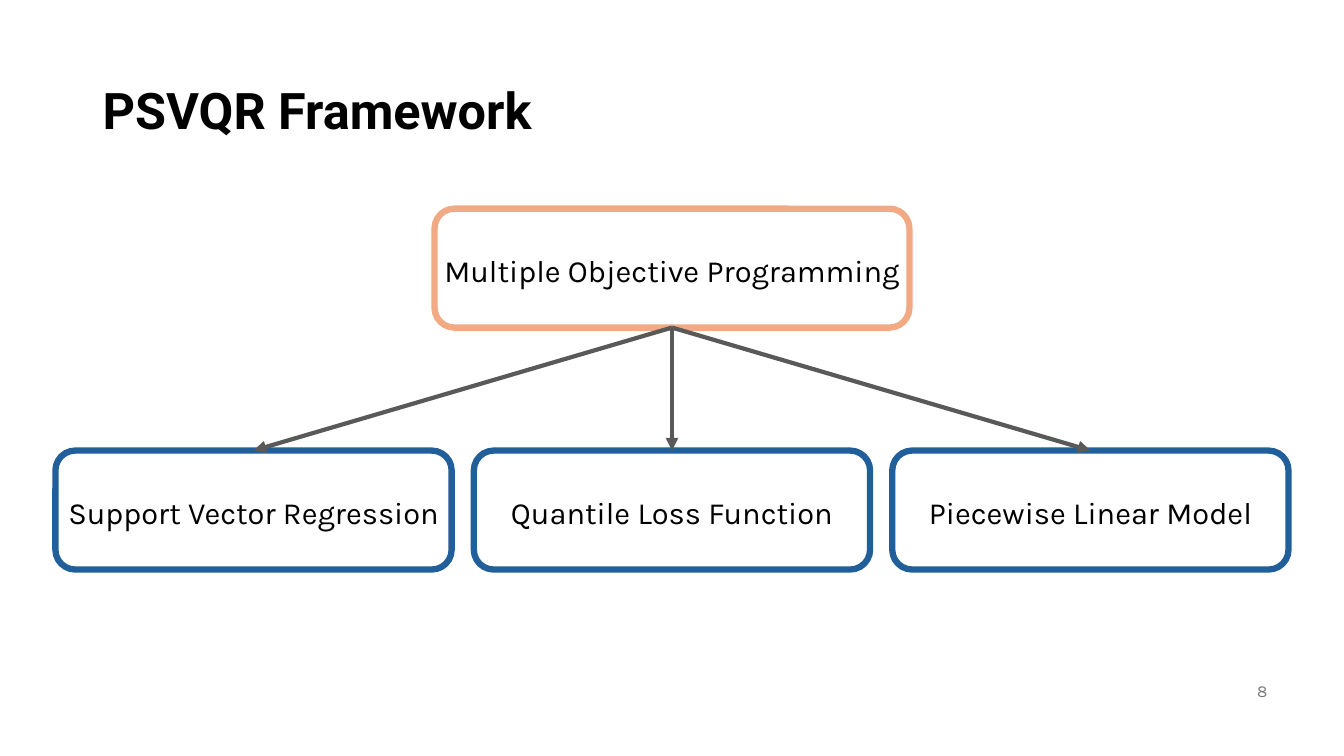
from lxml import etree
from pptx import Presentation
from pptx.dml.color import RGBColor
from pptx.enum.shapes import MSO_CONNECTOR, MSO_SHAPE
from pptx.enum.text import MSO_ANCHOR, PP_ALIGN
from pptx.oxml.ns import qn
from pptx.util import Inches, Pt

ROUNDED = MSO_SHAPE.ROUNDED_RECTANGLE
STRAIGHT = MSO_CONNECTOR.STRAIGHT
MIDDLE = MSO_ANCHOR.MIDDLE
LEFT, CENTER, RIGHT = PP_ALIGN.LEFT, PP_ALIGN.CENTER, PP_ALIGN.RIGHT
TOP_SITE, BOTTOM_SITE = 0, 2

# Content
TITLE = "PSVQR Framework"
PAGE_NUMBER = "8"
GOAL = "Multiple Objective Programming"
COMPONENTS = ["Support Vector Regression", "Quantile Loss Function", "Piecewise Linear Model"]

COLORS = {"text": "000000", "number": "797979", "goal": "F2AA84",
          "component": "215F9A", "arrow": "595959"}
TITLE_FONT = {"name": "Roboto", "size": Pt(36), "bold": True}
LABEL_FONT = {"name": "Karla", "size": Pt(22)}
NUMBER_FONT = {"name": "Karla", "size": Pt(12)}

# Layout in inches
SLIDE_W, SLIDE_H = 13.33, 7.5
NODE_H = 1.18
GOAL_W, GOAL_TOP = 4.71, 2.07
COMPONENT_W, COMPONENT_TOP, COMPONENT_STEP = 3.93, 4.47, 4.15


def color(name):
    return RGBColor.from_string(COLORS[name])


def write(shape, text, font, ink, align, wrap=True):
    frame = shape.text_frame
    frame.word_wrap = wrap
    frame.vertical_anchor = MIDDLE
    para = frame.paragraphs[0]
    para.alignment = align
    span = para.add_run()
    span.text = text
    for name, value in font.items():
        setattr(span.font, name, value)
    span.font.color.rgb = color(ink)
    return para


def add_text(page, area, *text_format):
    box = page.shapes.add_textbox(*map(Inches, area))
    return write(box, *text_format)


def add_node(page, center, top, width, text, outline):
    node = page.shapes.add_shape(
        ROUNDED, *map(Inches, (center - width / 2, top, width, NODE_H)))
    node.shadow.inherit = False
    node.fill.background()
    node.line.color.rgb = color(outline)
    node.line.width = Pt(4.5)
    write(node, text, LABEL_FONT, "text", CENTER, wrap=False)
    node.text_frame.margin_top = Inches(0.09)
    return node


def add_arrow(page, source, target):
    arrow = page.shapes.add_connector(STRAIGHT, 0, 0, 0, 0)
    arrow.begin_connect(source, BOTTOM_SITE)
    arrow.end_connect(target, TOP_SITE)
    arrow.line.color.rgb = color("arrow")
    arrow.line.width = Pt(3)
    etree.SubElement(arrow.line._get_or_add_ln(), qn("a:tailEnd"), type="triangle")
    etree.SubElement(arrow._element.spPr, qn("a:effectLst"))


def main():
    deck = Presentation()
    deck.slide_width, deck.slide_height = Inches(SLIDE_W), Inches(SLIDE_H)
    page = deck.slides.add_slide(deck.slide_layouts[6])

    # Title and page number
    title = add_text(page, (0.92, 0.4, 11.5, 1.45), TITLE, TITLE_FONT, "text", LEFT)
    title.line_spacing = 0.9
    add_text(page, (9.67, 6.65, 3, 0.4), PAGE_NUMBER, NUMBER_FONT, "number", RIGHT)

    # Goal on top, one arrow to each component below
    middle = SLIDE_W / 2
    goal = add_node(page, middle, GOAL_TOP, GOAL_W, GOAL, "goal")
    for index, text in enumerate(COMPONENTS):
        center = middle + (index - (len(COMPONENTS) - 1) / 2) * COMPONENT_STEP
        component = add_node(page, center, COMPONENT_TOP, COMPONENT_W, text, "component")
        add_arrow(page, goal, component)

    deck.save("out.pptx")


if __name__ == "__main__":
    main()
